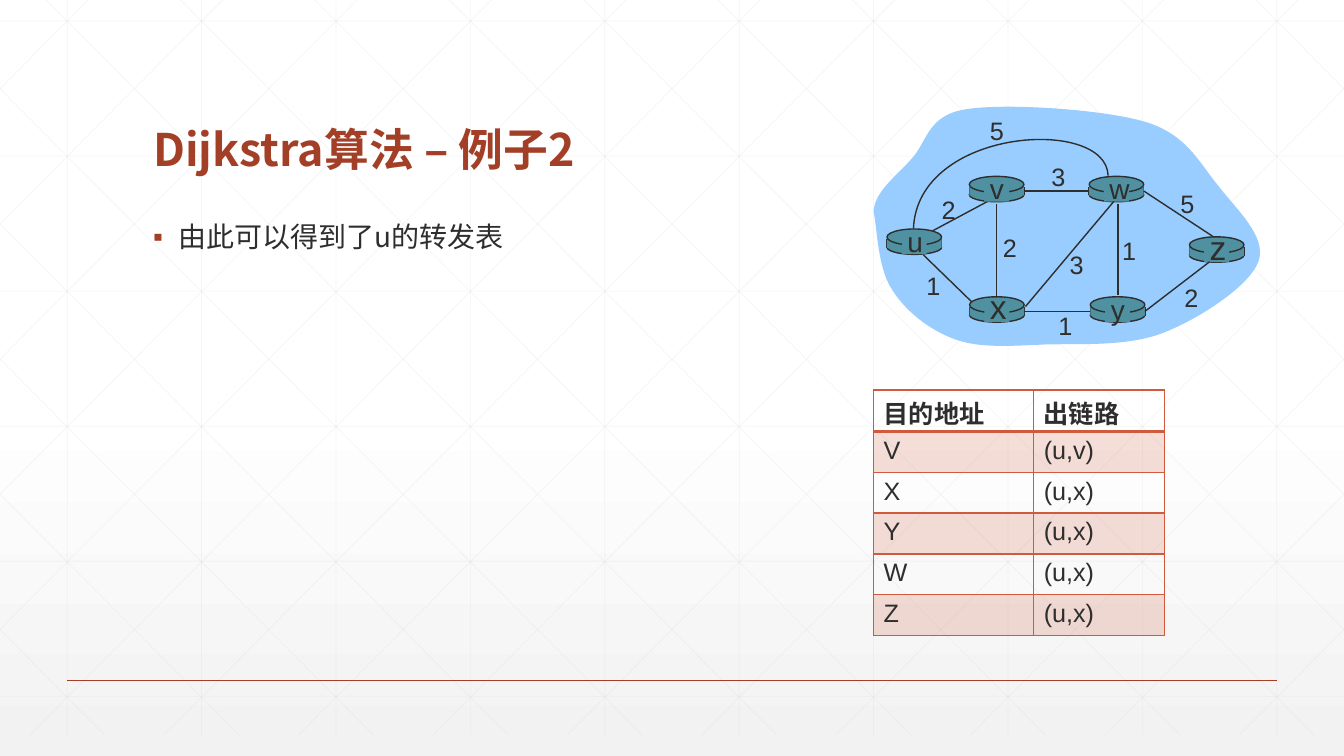
from lxml.etree import SubElement
from pptx import Presentation
from pptx.dml.color import RGBColor
from pptx.enum.shapes import MSO_CONNECTOR as Connector, MSO_SHAPE as Shape
from pptx.enum.text import MSO_ANCHOR as Anchor, PP_ALIGN as Align
from pptx.oxml.ns import qn
from pptx.util import Pt

WHITE = RGBColor(0xFF, 0xFF, 0xFF)
PALE = RGBColor(0xF2, 0xF2, 0xF2)
GRID = RGBColor(0xD9, 0xD9, 0xD9)
RUST = RGBColor(0xA4, 0x3F, 0x27)
ORANGE = RGBColor(0xD1, 0x5A, 0x3E)
INK = RGBColor(0x2D, 0x2E, 0x2D)
CLOUD = RGBColor(0x99, 0xCC, 0xFF)
TEAL = RGBColor(0x4F, 0x91, 0xA1)

WIDTH, HEIGHT = 960, 540
GRID_BOTTOM = 525
CJK = "Noto Sans CJK SC"

deck = Presentation()
deck.slide_width, deck.slide_height = Pt(WIDTH), Pt(HEIGHT)
blank = deck.slide_layouts[6]
page = deck.slides.add_slide(blank)
shapes = page.shapes


def draw_line(x1, y1, x2, y2, color=INK, weight=1, alpha=None):
    line = shapes.add_connector(Connector.STRAIGHT, Pt(x1), Pt(y1), Pt(x2), Pt(y2))
    line.line.color.rgb = color
    line.line.width = Pt(weight)
    if alpha:
        shade = line.line._ln.find(".//" + qn("a:srgbClr"))
        SubElement(shade, qn("a:alpha"), val=str(alpha * 1000))
    SubElement(line._element.spPr, qn("a:effectLst"))
    return line


def write(frame, text, size, name="Arial", bold=False, color=INK, align=Align.LEFT):
    para = frame.paragraphs[0]
    para.alignment = align
    span = para.add_run()
    span.text = text
    for key, value in {"size": Pt(size), "name": name, "bold": bold}.items():
        setattr(span.font, key, value)
    span.font.color.rgb = color
    SubElement(span.font._element, qn("a:ea"), typeface=name)
    return para


backdrop = page.background.fill
backdrop.gradient()
backdrop.gradient_angle = 270
for stop, position, color in zip(backdrop.gradient_stops, (0.53, 1), (WHITE, PALE)):
    stop.position = position
    stop.color.rgb = color

grid_lines = [(x, 0, x, GRID_BOTTOM) for x in range(48, WIDTH, 96)]
grid_lines += [(0, 15 + 96.48 * row, WIDTH, 15 + 96.48 * row) for row in range(6)]
SLANT = 0.994
for step in range(-5, 10):
    start = 33 + 96 * step
    top = max(0, -start / SLANT)
    bottom = min(GRID_BOTTOM, (WIDTH - start) / SLANT)
    left, right = start + SLANT * top, start + SLANT * bottom
    grid_lines.append((left, top, right, bottom))
    grid_lines.append((WIDTH - left, top, WIDTH - right, bottom))
decor = [draw_line(*ends, color=GRID, weight=0.5, alpha=25) for ends in grid_lines]
decor.append(draw_line(48, 486, 912, 486, color=RUST))
for line in decor:
    blank.shapes.element.append(line.element)

title = shapes.add_textbox(Pt(102.24), Pt(39.6), Pt(756), Pt(90)).text_frame
title.word_wrap = True
title.vertical_anchor = Anchor.BOTTOM
write(title, "Dijkstra算法 – 例子2", 32, CJK, True, RUST).line_spacing = 0.9

body = shapes.add_textbox(Pt(102.24), Pt(156.2), Pt(756), Pt(300)).text_frame
body.word_wrap = True
para = write(body, "由此可以得到了u的转发表", 20, CJK)
para.line_spacing = 0.9
para.space_before = Pt(18)
layout = para._p.get_or_add_pPr()
layout.set("marL", str(Pt(18)))
layout.set("indent", str(-Pt(18)))
SubElement(SubElement(layout, qn("a:buClr")), qn("a:srgbClr"), val=str(RUST))
SubElement(layout, qn("a:buFont"), typeface="Arial")
SubElement(layout, qn("a:buChar"), char="▪")

cloud_points = [
    (624, 151), (625, 136), (641, 125.5), (651.5, 113), (662.5, 101), (662.5, 82),
    (690.5, 78), (718, 73.5), (787.5, 78), (818, 87), (848, 96), (857, 117),
    (870.5, 133), (883.5, 150), (905, 169), (899, 186.5), (893, 204), (857, 227.5),
    (831.5, 237.5), (806.5, 247.5), (773.5, 245.5), (748, 246), (723.5, 247),
    (700.5, 249), (682.5, 242.5), (664, 236), (646.5, 222), (637, 206.5),
    (627, 191.5), (626.5, 163), (624, 151),
]
arc_points = [(791.5, 125.5), (790.5, 83), (655, 91), (652.5, 163.5)]
for points, is_cloud in ((cloud_points, True), (arc_points, False)):
    points = [(Pt(x), Pt(y)) for x, y in points]
    builder = shapes.build_freeform(*points[0])
    builder.add_line_segments(points[1:], close=False)
    outline = builder.convert_to_shape()
    outline.shadow.inherit = False
    track = outline.element.find(".//" + qn("a:path"))
    for index, step in enumerate(track.findall(qn("a:lnTo"))):
        if index % 3 == 0:
            curve = SubElement(track, qn("a:cubicBezTo"))
        curve.append(step[0])
        track.remove(step)
    if is_cloud:
        SubElement(track, qn("a:close"))
        outline.fill.solid()
        outline.fill.fore_color.rgb = CLOUD
        outline.line.fill.background()
    else:
        outline.fill.background()
        outline.line.color.rgb = INK
        outline.line.width = Pt(1)

draw_line(666, 165, 709, 142)

routers = {
    "u": (633.6, 163.6, 20), "v": (692.4, 126, 20), "w": (778, 126, 20),
    "x": (692.6, 212, 24), "y": (778.8, 212, 20), "z": (849.6, 169.2, 24),
}
router_parts = [
    (Shape.OVAL, 0, 8.1, 39, 10, True),
    (Shape.RECTANGLE, 0, 7.3, 39, 6.3, False),
    (Shape.OVAL, 0, 0, 39, 11.5, True),
    (Shape.RECTANGLE, 10.6, 1.4, 17.8, 16.6, False),
]
bodies = {}
for name, (left, top, size) in routers.items():
    for side in (left, left + 39):
        draw_line(side, top + 7.3, side, top + 13.6)
    for kind, dx, dy, width, height, outlined in router_parts:
        part = shapes.add_shape(kind, Pt(left + dx), Pt(top + dy), Pt(width), Pt(height))
        part.shadow.inherit = False
        part.fill.solid()
        part.fill.fore_color.rgb = TEAL
        if outlined:
            part.line.color.rgb = INK
            part.line.width = Pt(1)
        else:
            part.line.fill.background()
            bodies.setdefault(name, part)

links = [
    ((798.5, 145.5, 798.5, 210.5), None, None),
    ((712, 146, 712, 213), None, None),
    ((732.5, 219, 795.5, 144), None, None),
    ((694, 215.5, 659.5, 182), None, None),
    ((818, 221, 864, 187), ("y", 3), None),
    ((779, 222.5, 733, 222.5), ("y", 1), ("x", 3)),
    ((778, 137, 732, 137), ("w", 1), ("v", 3)),
    ((817, 136, 866.5, 169), ("w", 3), None),
]
for ends, begin, end in links:
    link = draw_line(*ends)
    if begin:
        link.begin_connect(bodies[begin[0]], begin[1])
    if end:
        link.end_connect(bodies[end[0]], end[1])

labels = [(name, left + 7.4, top + 14.2 - 1.05 * size, size)
          for name, (left, top, size) in routers.items()]
labels += [(cost, left, top, 18) for cost, left, top in (
    ("2", 665.3, 135.4), ("2", 709.2, 162.7), ("1", 654.5, 189.4), ("3", 756.7, 174.4),
    ("1", 748.8, 218.4), ("1", 794.2, 164.9), ("2", 838.8, 198), ("5", 835.9, 131),
    ("3", 743.8, 112), ("5", 699.8, 78.5))]
for text, left, top, size in labels:
    box = shapes.add_textbox(Pt(left), Pt(top), Pt(24.5), Pt(size * 1.2 + 7.2))
    box.text_frame.word_wrap = False
    write(box.text_frame, text, size, align=Align.CENTER)

rows = [("目的地址", "出链路"), ("V", "(u,v)"), ("X", "(u,x)"),
        ("Y", "(u,x)"), ("W", "(u,x)"), ("Z", "(u,x)")]
table = shapes.add_table(len(rows), 2, Pt(624), Pt(278.6), Pt(207.6), Pt(175.2)).table
for column, width in zip(table.columns, (114.4, 93.2)):
    column.width = Pt(width)
for index, row in enumerate(rows):
    table.rows[index].height = Pt(29.2)
    for column, text in enumerate(row):
        cell = table.cell(index, column)
        write(cell.text_frame, text, 18, bold=index == 0)
        if index == 0:
            cell.margin_top, cell.margin_bottom = Pt(7.9), Pt(0)
        properties = cell._tc.get_or_add_tcPr()
        for edge in ("lnL", "lnR", "lnT", "lnB"):
            heavy = (index, edge) in ((0, "lnB"), (1, "lnT"))
            border = SubElement(properties, qn("a:" + edge), w=str(Pt(2 if heavy else 1)))
            SubElement(SubElement(border, qn("a:solidFill")), qn("a:srgbClr"), val=str(ORANGE))
        if index % 2:
            cell.fill.solid()
            cell.fill.fore_color.rgb = ORANGE
            shade = properties.find(qn("a:solidFill")).find(qn("a:srgbClr"))
            SubElement(shade, qn("a:alpha"), val="20000")
        else:
            cell.fill.background()

deck.save("out.pptx")
